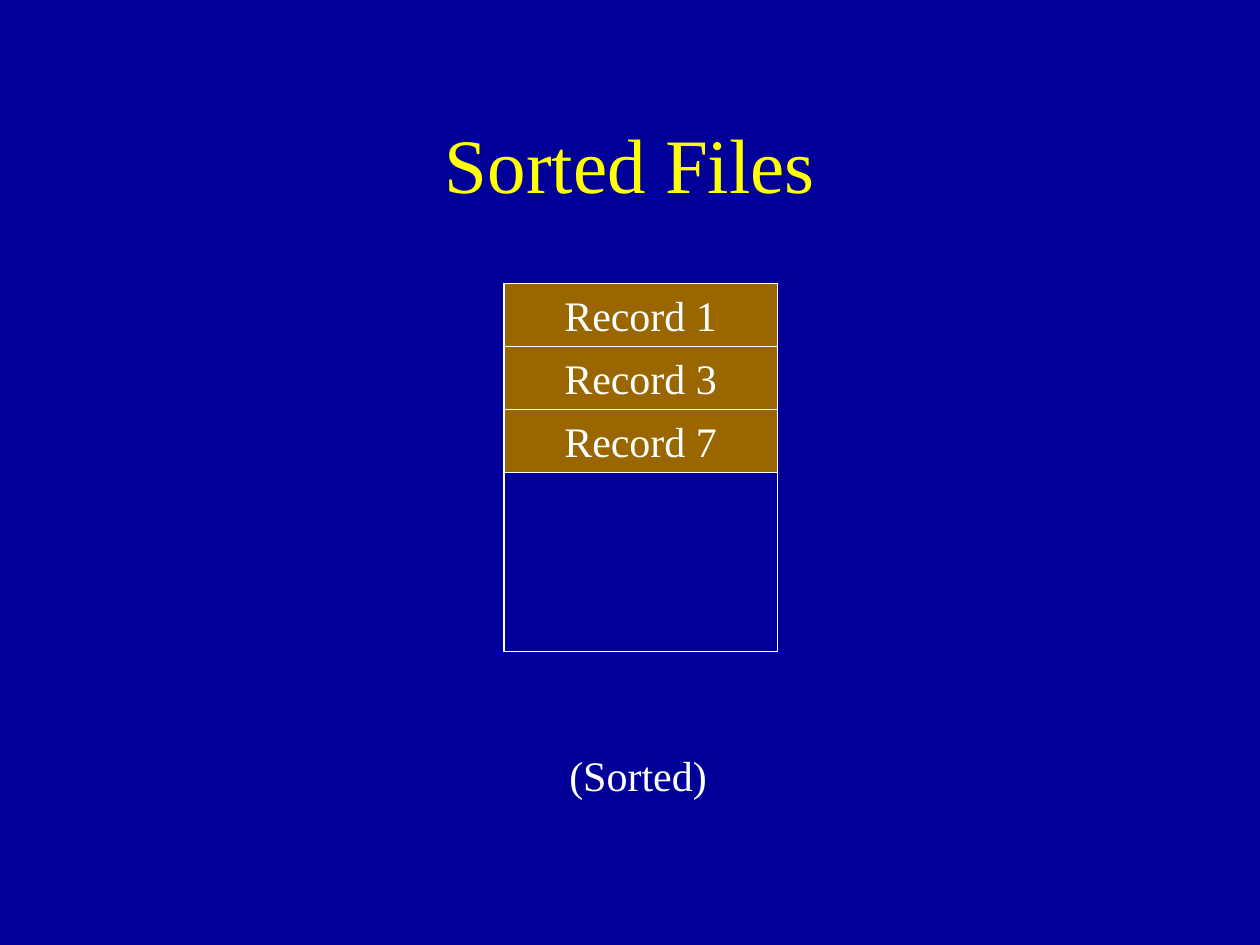
from dataclasses import dataclass

from pptx import Presentation
from pptx.dml.color import RGBColor
from pptx.enum.shapes import MSO_SHAPE
from pptx.enum.text import MSO_ANCHOR, MSO_AUTO_SIZE, PP_ALIGN
from pptx.util import Inches, Pt


@dataclass(frozen=True)
class Theme:
    background: RGBColor = RGBColor(0x00, 0x00, 0x99)
    title: RGBColor = RGBColor(0xFF, 0xFF, 0x00)
    text: RGBColor = RGBColor(0xFF, 0xFF, 0xFF)
    record: RGBColor = RGBColor(0x99, 0x66, 0x00)
    font: str = "Times New Roman"
    title_size: Pt = Pt(44)
    text_size: Pt = Pt(24)
    line_width: Pt = Pt(0.75)


THEME = Theme()


def set_attributes(target, values):
    for name, value in values.items():
        setattr(target, name, value)


def write_text(shape, text, size, color, alignment, frame_format):
    frame = shape.text_frame
    frame.text = text
    set_attributes(frame, frame_format)
    paragraph = frame.paragraphs[0]
    paragraph.alignment = alignment
    font = paragraph.runs[0].font
    set_attributes(font, {"name": THEME.font, "size": size, "bold": False})
    font.color.rgb = color


def add_title(slide, text, left, top, width, height):
    title = slide.shapes.title
    set_attributes(title, {"left": left, "top": top, "width": width, "height": height})
    write_text(title, text, THEME.title_size, THEME.title, PP_ALIGN.CENTER,
               {"vertical_anchor": MSO_ANCHOR.MIDDLE, "word_wrap": True})


def add_box(slide, left, top, width, height, fill=None):
    box = slide.shapes.add_shape(MSO_SHAPE.RECTANGLE, left, top, width, height)
    box.shadow.inherit = False
    if fill is None:
        box.fill.background()
    else:
        box.fill.solid()
        box.fill.fore_color.rgb = fill
    box.line.color.rgb = THEME.text
    box.line.width = THEME.line_width
    return box


def add_file(slide, records, left, top, width, height, record_height):
    # Outline of the whole file, with free space below the records
    add_box(slide, left, top, width, height)
    # Records stacked from the top
    for index, record in enumerate(records):
        box = add_box(slide, left, top + index * record_height, width,
                      record_height, THEME.record)
        write_text(box, record, THEME.text_size, THEME.text, PP_ALIGN.CENTER,
                   {"vertical_anchor": MSO_ANCHOR.MIDDLE, "word_wrap": False})


def add_caption(slide, text, left, top, width, height):
    caption = slide.shapes.add_textbox(left, top, width, height)
    write_text(caption, text, THEME.text_size, THEME.text, PP_ALIGN.LEFT,
               {"word_wrap": False, "auto_size": MSO_AUTO_SIZE.SHAPE_TO_FIT_TEXT})


def main():
    presentation = Presentation()
    set_attributes(presentation, {"slide_width": Inches(10), "slide_height": Inches(7.5)})
    title_only = presentation.slide_layouts[5]
    slide = presentation.slides.add_slide(title_only)
    slide.background.fill.solid()
    slide.background.fill.fore_color.rgb = THEME.background

    add_title(slide, "Sorted Files", Inches(0.75), Inches(0.67), Inches(8.5), Inches(1.25))
    add_file(slide, ["Record 1", "Record 3", "Record 7"], Inches(4), Inches(2.25),
             Inches(2.17), Inches(2.92), record_height=Inches(0.5))
    add_caption(slide, " (Sorted)", Inches(4.42), Inches(5.5), Inches(1.37), Inches(0.5))

    presentation.save("out.pptx")


if __name__ == "__main__":
    main()
